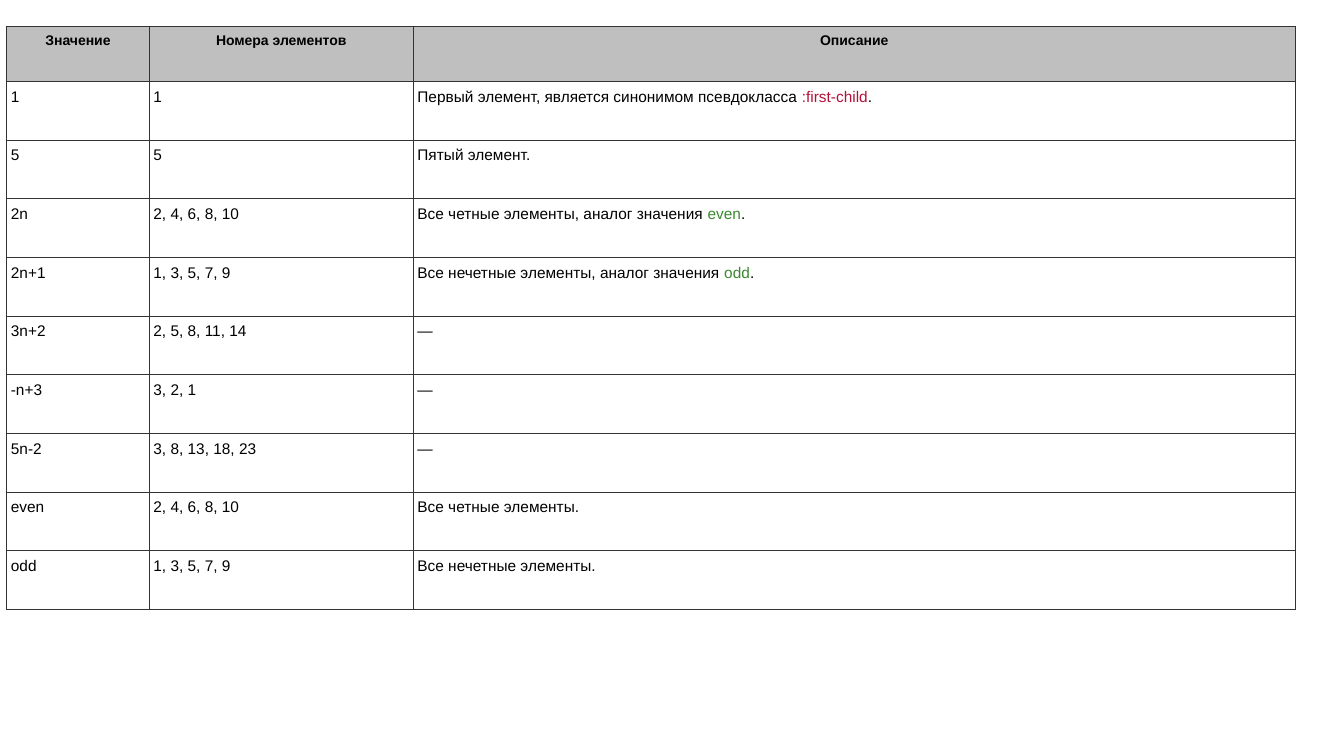
from dataclasses import dataclass

from lxml import etree
from pptx import Presentation
from pptx.dml.color import RGBColor
from pptx.enum import text as txt
from pptx.oxml import ns
from pptx.slide import Slide
from pptx.table import _Cell
from pptx.util import Pt


@dataclass(frozen=True)
class Theme:
    font: str = "Arial"
    header_size: float = 10
    body_size: float = 11
    ink: str = "000000"
    selector: str = "B61039"
    keyword: str = "39892F"
    header_fill: str = "BFBFBF"
    body_fill: str = "FFFFFF"
    border: str = "333333"
    border_width: float = 0.75


THEME = Theme()


@dataclass(frozen=True)
class Span:
    text: str
    color: str = THEME.ink


@dataclass(frozen=True)
class Example:
    value: str
    numbers: str
    description: tuple[Span, ...] = (Span("—"),)


@dataclass(frozen=True)
class CellStyle:
    size: float
    bold: bool
    fill: str
    align: txt.PP_ALIGN


HEADER = CellStyle(THEME.header_size, True, THEME.header_fill, txt.PP_ALIGN.CENTER)
BODY = CellStyle(THEME.body_size, False, THEME.body_fill, txt.PP_ALIGN.LEFT)

HEADINGS = ("Значение", "Номера элементов", "Описание")
EXAMPLES = (
    Example("1", "1", (
        Span("Первый элемент, является синонимом псевдокласса "),
        Span(":first-child", THEME.selector), Span("."))),
    Example("5", "5", (Span("Пятый элемент."),)),
    Example("2n", "2, 4, 6, 8, 10", (
        Span("Все четные элементы, аналог значения "),
        Span("even", THEME.keyword), Span("."))),
    Example("2n+1", "1, 3, 5, 7, 9", (
        Span("Все нечетные элементы, аналог значения "),
        Span("odd", THEME.keyword), Span("."))),
    Example("3n+2", "2, 5, 8, 11, 14"),
    Example("-n+3", "3, 2, 1"),
    Example("5n-2", "3, 8, 13, 18, 23"),
    Example("even", "2, 4, 6, 8, 10", (Span("Все четные элементы."),)),
    Example("odd", "1, 3, 5, 7, 9", (Span("Все нечетные элементы."),)),
)

LEFT, TOP = 4.8, 18.9
COLUMN_WIDTHS = (101.8, 188.6, 630)
HEADER_HEIGHT, ROW_HEIGHT = 39.4, 41.9
INSET = 3


def add_borders(cell: _Cell) -> None:
    properties = cell._tc.get_or_add_tcPr()
    for position, side in enumerate(("lnL", "lnR", "lnT", "lnB")):
        line = etree.Element(ns.qn(f"a:{side}"), w=str(Pt(THEME.border_width)))
        fill = etree.SubElement(line, ns.qn("a:solidFill"))
        etree.SubElement(fill, ns.qn("a:srgbClr"), val=THEME.border)
        properties.insert(position, line)


def fill_cell(cell: _Cell, spans: tuple[Span, ...], style: CellStyle) -> None:
    cell.margin_left = cell.margin_right = Pt(INSET)
    cell.margin_top = cell.margin_bottom = Pt(INSET)
    cell.vertical_anchor = txt.MSO_ANCHOR.TOP
    cell.fill.solid()
    cell.fill.fore_color.rgb = RGBColor.from_string(style.fill)
    add_borders(cell)
    paragraph = cell.text_frame.paragraphs[0]
    paragraph.alignment = style.align
    paragraph.line_spacing = 1.15
    paragraph.space_before = Pt(3)
    paragraph.space_after = Pt(6)
    for span in spans:
        run = paragraph.add_run()
        run.text = span.text
        run.font.name = THEME.font
        run.font.size = Pt(style.size)
        run.font.bold = style.bold
        run.font.color.rgb = RGBColor.from_string(span.color)


def add_examples(slide: Slide) -> None:
    height = HEADER_HEIGHT + ROW_HEIGHT * len(EXAMPLES)
    examples = slide.shapes.add_table(
        len(EXAMPLES) + 1, len(HEADINGS),
        Pt(LEFT), Pt(TOP), Pt(sum(COLUMN_WIDTHS)), Pt(height),
    ).table
    examples.horz_banding = False
    for column, width in zip(examples.columns, COLUMN_WIDTHS):
        column.width = Pt(width)
    for index, row in enumerate(examples.rows):
        row.height = Pt(ROW_HEIGHT if index else HEADER_HEIGHT)
    for column, heading in enumerate(HEADINGS):
        fill_cell(examples.cell(0, column), (Span(heading),), HEADER)
    for row, example in enumerate(EXAMPLES, start=1):
        contents = ((Span(example.value),), (Span(example.numbers),), example.description)
        for column, spans in enumerate(contents):
            fill_cell(examples.cell(row, column), spans, BODY)


def main() -> None:
    deck = Presentation()
    deck.slide_width, deck.slide_height = Pt(960), Pt(540)
    add_examples(deck.slides.add_slide(deck.slide_layouts[6]))
    deck.save("out.pptx")


if __name__ == "__main__":
    main()
